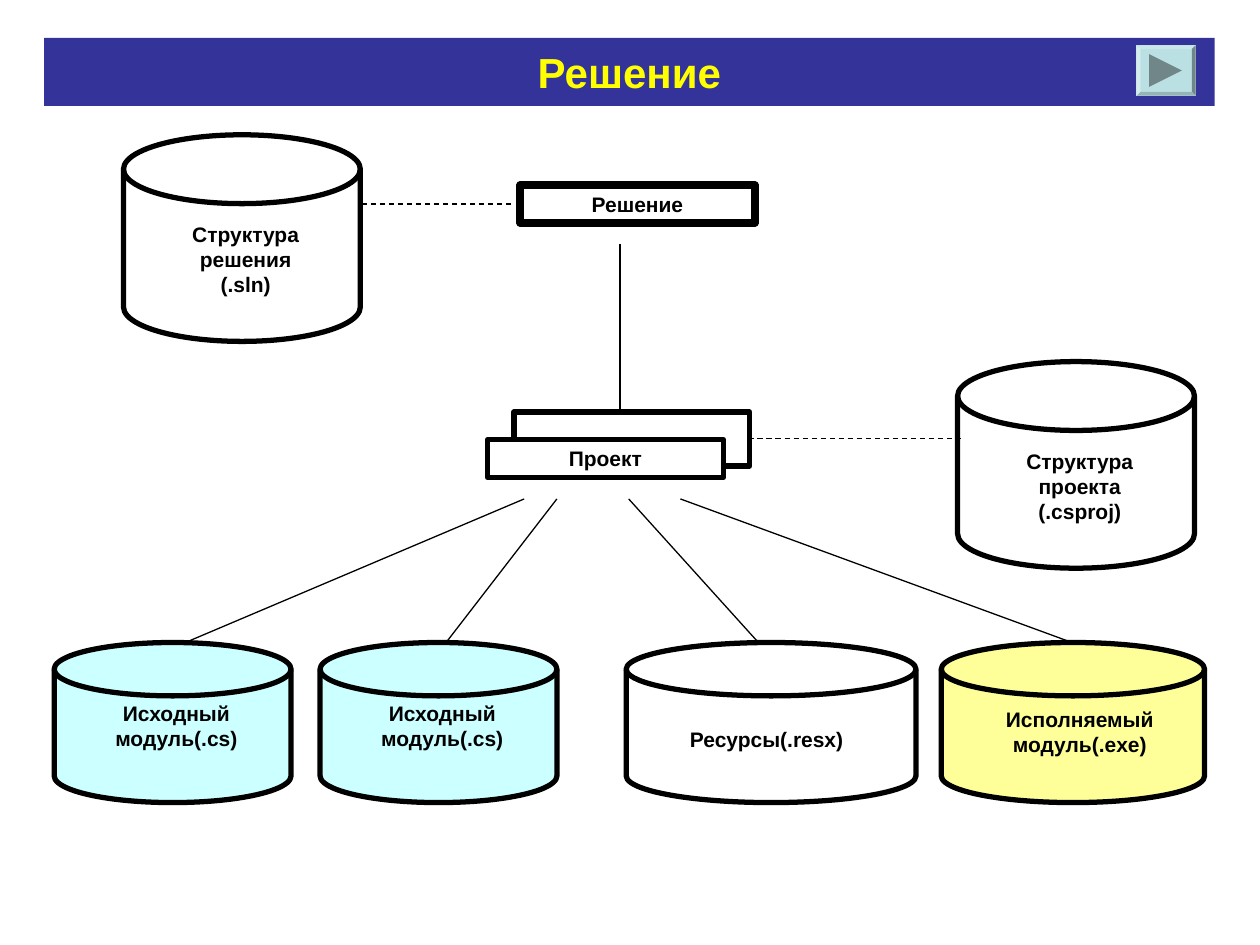
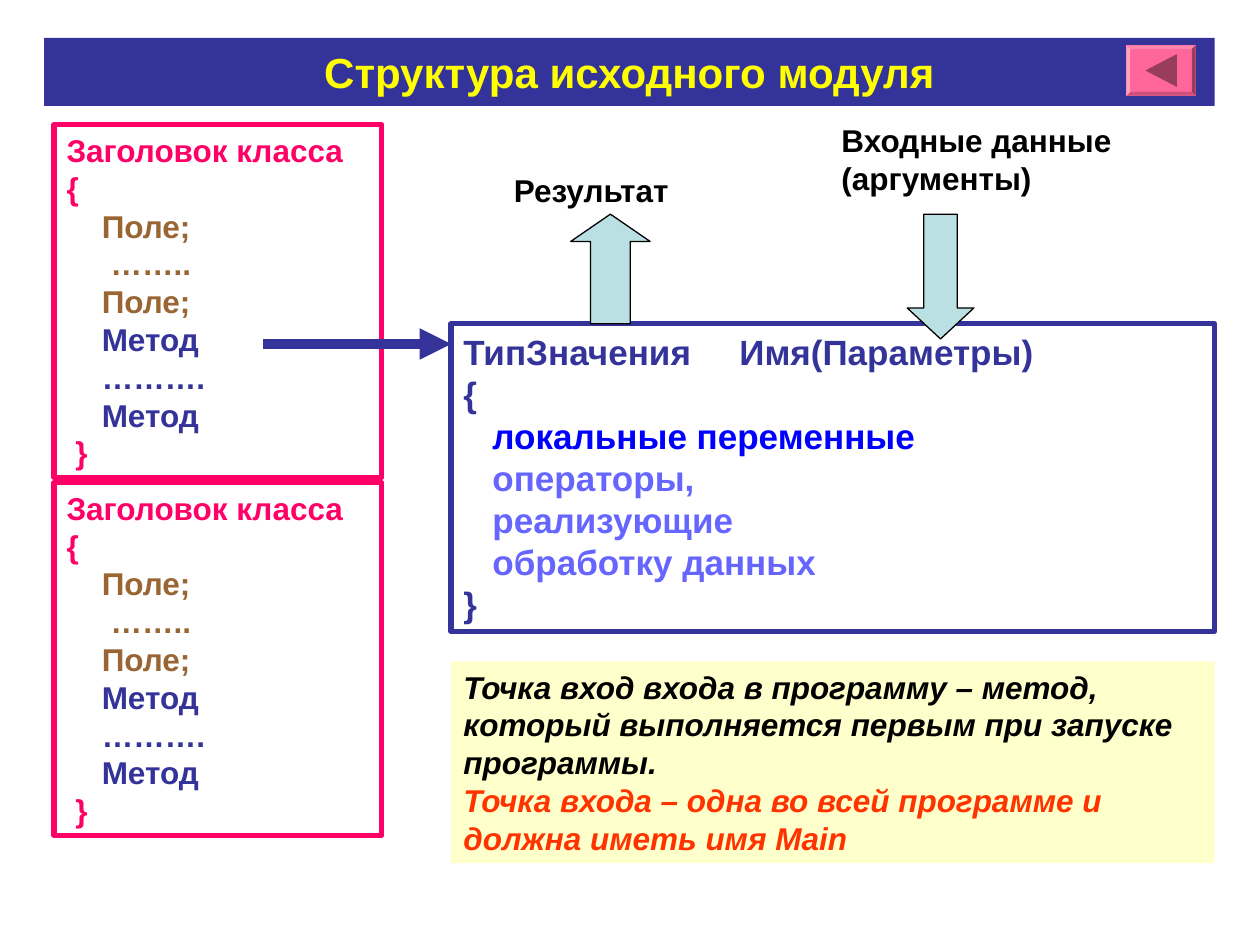
from lxml import etree
from pptx import Presentation
from pptx.dml.color import RGBColor
from pptx.enum.dml import MSO_LINE
from pptx.enum.shapes import MSO_CONNECTOR, MSO_SHAPE
from pptx.enum.text import MSO_ANCHOR, PP_ALIGN
from pptx.oxml.ns import qn
from pptx.util import Inches, Pt

RECT = MSO_SHAPE.RECTANGLE
DISK = MSO_SHAPE.FLOWCHART_MAGNETIC_DISK
UP = MSO_SHAPE.UP_ARROW
DOWN = MSO_SHAPE.DOWN_ARROW
STRAIGHT = MSO_CONNECTOR.STRAIGHT
DASH = MSO_LINE.DASH
TOP, MIDDLE = MSO_ANCHOR.TOP, MSO_ANCHOR.MIDDLE
LEFT, CENTER = PP_ALIGN.LEFT, PP_ALIGN.CENTER

COLORS = {
    "black": "000000", "white": "FFFFFF", "navy": "333399", "yellow": "FFFF00",
    "aqua": "CCFFFF", "lemon": "FFFF99", "cream": "FFFFCC", "teal": "BBE0E3",
    "pink": "FF6699", "rose": "FF0066", "brown": "996633", "blue": "0000FF",
    "violet": "6666FF", "red": "FF3300",
}


def tint(color, part):
    goal = 255 if part > 0 else 0
    return RGBColor(*(round(c + (goal - c) * abs(part)) for c in color))


class Deck:
    font = {"name": "Arial", "bold": True}
    thin, thick = 0.75, 3

    def __init__(self):
        self.prs = Presentation()
        self.prs.slide_width = Inches(10)
        self.prs.slide_height = Inches(7.5)

    def color(self, name):
        return RGBColor.from_string(COLORS[name])

    def page(self, title):
        self.slide = self.prs.slides.add_slide(self.prs.slide_layouts[5])
        self.shapes = self.slide.shapes
        band = self.shapes.title
        spot = {"left": 0.35, "top": 0.3, "width": 9.29, "height": 0.54}
        for key, value in spot.items():
            setattr(band, key, Inches(value))
        self.paint(band, "navy")
        self.fill_text(band, [(title, 0, "yellow")], 24, CENTER, MIDDLE)

    def paint(self, shape, fill=None, line=None, width=thick):
        if fill:
            shape.fill.solid()
            shape.fill.fore_color.rgb = self.color(fill)
        else:
            shape.fill.background()
        if line:
            shape.line.color.rgb = self.color(line)
            shape.line.width = Pt(width)
        else:
            shape.line.fill.background()

    def fill_text(self, shape, rows, size, align=LEFT, anchor=TOP, wrap=True, italic=False):
        frame = shape.text_frame
        frame.word_wrap = wrap
        frame.vertical_anchor = anchor
        look = {**self.font, "size": Pt(size), "italic": italic}
        for i, (text, indent, color) in enumerate(rows):
            para = frame.add_paragraph() if i else frame.paragraphs[0]
            para.alignment = align
            run = para.add_run()
            run.text = text
            for key, value in look.items():
                setattr(run.font, key, value)
            run.font.color.rgb = self.color(color)
            if indent:
                para._p.get_or_add_pPr().set("marL", str(Inches(indent)))

    def shape(self, kind, at, fill=None, line=None, width=thick):
        item = self.shapes.add_shape(kind, *map(Inches, at))
        item.shadow.inherit = False
        self.paint(item, fill, line, width)
        return item

    def box(self, at, rows, size, fill=None, line=None, width=thick, align=LEFT, italic=False):
        item = self.shape(RECT, at, fill, line, width)
        self.fill_text(item, rows, size, align, italic=italic)
        return item

    def label(self, at, lines, size=12, align=CENTER, wrap=True):
        item = self.shapes.add_textbox(*map(Inches, at))
        self.fill_text(item, [(text, 0, "black") for text in lines], size, align, wrap=wrap)

    def disk(self, at, fill, spot, lines):
        self.shape(DISK, at, fill, "black")
        self.label(spot, lines)

    def arrow(self, kind, at, head):
        item = self.shape(kind, at, "teal", "black", self.thin)
        item.adjustments[1] = head

    def line(self, start, end, color="black", width=thin, dash=None, head=False):
        item = self.shapes.add_connector(STRAIGHT, *map(Inches, start + end))
        item.line.color.rgb = self.color(color)
        item.line.width = Pt(width)
        if dash:
            item.line.dash_style = dash
        props = item._element.spPr
        if head:
            etree.SubElement(props.get_or_add_ln(), qn("a:tailEnd"), type="triangle")
        etree.SubElement(props, qn("a:effectLst"))

    def facet(self, points, color):
        first, *rest = [tuple(map(Inches, p)) for p in points]
        maker = self.shapes.build_freeform(*first)
        maker.add_line_segments(rest)
        item = maker.convert_to_shape()
        item.shadow.inherit = False
        self.paint(item)
        item.fill.solid()
        item.fill.fore_color.rgb = color

    def button(self, left, color, icon):
        base = self.color(color)
        right, top, low, rim = 9.49, 0.36, 0.76, 0.03
        outer = [(left, top), (right, top), (right, low), (left, low)]
        inner = [(left + rim, top + rim), (right - rim, top + rim),
                 (right - rim, low - rim), (left + rim, low - rim)]
        self.facet(outer, base)
        for i, part in enumerate((0.2, -0.4, -0.2, 0.4)):
            j = (i + 1) % 4
            self.facet([outer[i], outer[j], inner[j], inner[i]], tint(base, part))
        self.facet(icon, tint(base, -0.4))


deck = Deck()

deck.page("Решение")
deck.box((4.13, 1.47, 1.86, 0.3), [("Решение", 0, "black")], 12,
         line="black", width=4.5, align=CENTER)
deck.shape(RECT, (4.08, 3.27, 1.87, 0.43), line="black")
deck.box((3.87, 3.49, 1.87, 0.3), [("Проект", 0, "black")], 12,
         "white", "black", align=CENTER)

for left, top, noun, ext in ((0.98, 1.07, "решения", "(.sln)"),
                             (7.6, 2.87, "проекта", "(.csproj)")):
    deck.disk((left, top, 1.88, 1.64), "white",
              (left + 0.08, top + 0.64, 1.78, 0.77), ["Структура", noun, ext])

source = "Исходный модуль(.cs)"
files = (
    (0.43, 1.88, "aqua", (0.51, 5.51, 1.78, 0.53), source),
    (2.54, 1.88, "aqua", (2.62, 5.51, 1.78, 0.53), source),
    (4.97, 2.3, None, (5.08, 5.72, 2.01, 0.46), "Ресурсы(.resx)"),
    (7.47, 2.09, "lemon", (7.6, 5.56, 1.94, 0.55), "Исполняемый модуль(.exe)"),
)
for left, width, fill, spot, text in files:
    deck.disk((left, 5.1, width, 1.27), fill, spot, [text])

for start, end in ((4.16, 1.47), (4.42, 3.54), (4.99, 6.02), (5.4, 8.51)):
    deck.line((start, 3.96), (end, 5.1))
deck.line((4.92, 3.28), (4.92, 1.94))
for start, end, y in ((2.87, 4.06, 1.62), (5.94, 7.63, 3.48)):
    deck.line((start, y), (end, y), dash=DASH)
deck.button(9.02, "teal", [(9.12, 0.43), (9.38, 0.56), (9.12, 0.69)])

deck.page("Структура исходного модуля")
deck.button(8.94, "pink", [(9.09, 0.56), (9.34, 0.43), (9.34, 0.69)])
body = [
    ("Заголовок класса", 0, "rose"),
    ("{", 0, "rose"),
    ("Поле;", 0.28, "brown"),
    ("……..", 0.35, "brown"),
    ("Поле;", 0.28, "brown"),
    ("Метод", 0.28, "navy"),
    ("……….", 0.28, "navy"),
    ("Метод", 0.28, "navy"),
    ("}", 0.07, "rose"),
]
for top in (0.99, 3.83):
    deck.box((0.43, top, 2.6, 2.8), body, 18, line="rose")

method = deck.box((3.58, 2.57, 6.06, 2.44), [
    ("ТипЗначения\tИмя(Параметры)", 0, "navy"),
    ("{", 0, "navy"),
    ("локальные переменные", 0.23, "blue"),
    ("операторы,", 0.23, "violet"),
    ("реализующие", 0.23, "violet"),
    ("обработку данных", 0.23, "violet"),
    ("}", 0, "navy"),
], 20, line="navy")
tabs = etree.SubElement(method.text_frame.paragraphs[0]._p.get_or_add_pPr(), qn("a:tabLst"))
etree.SubElement(tabs, qn("a:tab"), pos=str(Inches(2.19)), algn="l")

deck.line((2.09, 2.73), (3.58, 2.73), "navy", 6, head=True)
deck.box((3.58, 5.25, 6.06, 1.6), [
    ("Точка вход входа в программу – метод, который выполняется первым "
     "при запуске программы.", 0, "black"),
    ("Точка входа – одна во всей программе и должна иметь имя Main", 0, "red"),
], 18, "cream", italic=True)
deck.arrow(DOWN, (7.2, 1.7, 0.53, 0.99), 0.465)
deck.arrow(UP, (4.53, 1.7, 0.63, 0.87), 0.344)
deck.label((6.58, 0.91, 2.35, 0.7), ["Входные данные", "(аргументы)"], 18, LEFT, False)
deck.label((3.98, 1.31, 1.46, 0.4), ["Результат"], 18, LEFT, False)

deck.prs.save("out.pptx")
